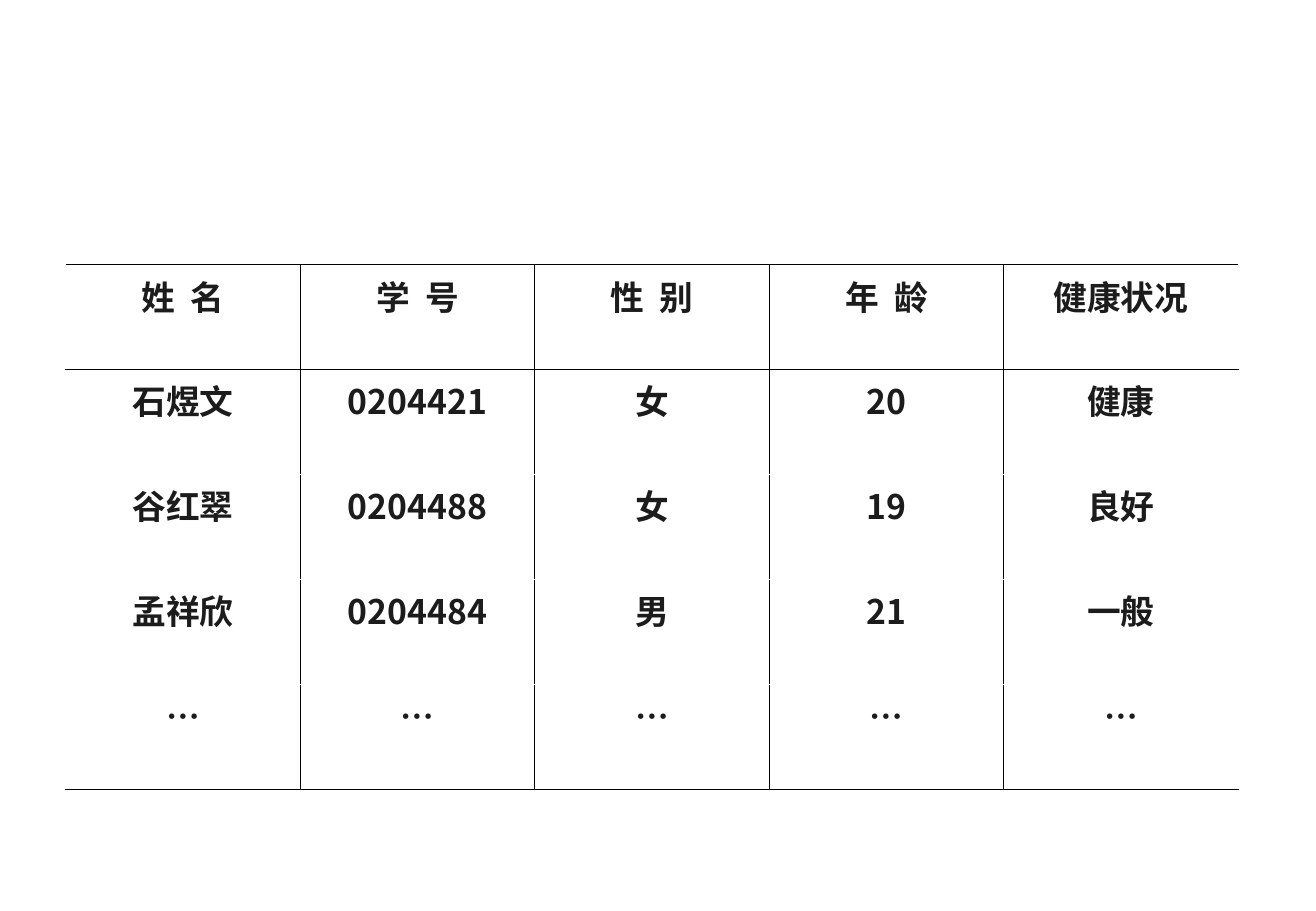
import dataclasses

import pptx
import pptx.dml.color
import pptx.enum.text
import pptx.oxml
import pptx.oxml.ns
import pptx.util


@dataclasses.dataclass(frozen=True)
class Theme:
    font: str = "Noto Sans CJK SC"
    text: str = "1C1C1C"
    rule: str = "000000"
    paper: str = "FFFFFF"
    text_size: float = 20
    thin: float = 0.45
    thick: float = 0.96
    hanging_indent: float = 0.38


THEME = Theme()
SLIDE_SIZE = (pptx.util.Inches(10.84), pptx.util.Inches(7.5))
# Left, top, width and height in percent of the slide
STUDENT_TABLE_BOX = (5, 29.06, 89.1, 57.6)
STUDENTS = [
    ["姓  名", "学  号", "性  别", "年  龄", "健康状况"],
    ["石煜文", "0204421", "女", "20", "健康"],
    ["谷红翠", "0204488", "女", "19", "良好"],
    ["孟祥欣", "0204484", "男", "21", "一般"],
    ["…"] * 5,
]


def percent_box(shares):
    return [round(share / 100 * SLIDE_SIZE[index % 2]) for index, share in enumerate(shares)]


def add_border(cell, side, color, width):
    """Draw one side of a cell; side is L, R, T or B, in that order."""
    namespace = pptx.oxml.ns.nsdecls("a")
    cell._tc.get_or_add_tcPr().append(pptx.oxml.parse_xml(
        f'<a:ln{side} {namespace} w="{pptx.util.Pt(width)}">'
        f'<a:solidFill><a:srgbClr val="{color}"/></a:solidFill></a:ln{side}>'))


def rule_cell(cell, row, column, row_count, column_count):
    """Rule columns inside the table, and rows around the header and at the end."""
    left = THEME.rule if column > 0 else THEME.paper
    right = THEME.rule if column < column_count - 1 else THEME.paper
    last = row == row_count - 1
    top = THEME.rule if row <= 1 else THEME.paper
    bottom = THEME.rule if row == 0 or last else THEME.paper
    add_border(cell, "L", left, THEME.thin)
    add_border(cell, "R", right, THEME.thin)
    add_border(cell, "T", top, THEME.thick if row == 0 else THEME.thin)
    add_border(cell, "B", bottom, THEME.thick if last else THEME.thin)
    cell.fill.background()


def write_cell(cell, text):
    paragraph = cell.text_frame.paragraphs[0]
    paragraph.alignment = pptx.enum.text.PP_ALIGN.CENTER
    indent = pptx.util.Inches(THEME.hanging_indent)
    properties = paragraph._p.get_or_add_pPr()
    properties.set("marL", str(indent))
    properties.set("indent", str(-indent))
    run = paragraph.add_run()
    run.text = text
    run.font.size = pptx.util.Pt(THEME.text_size)
    run.font.bold = True
    run.font.color.rgb = pptx.dml.color.RGBColor.from_string(THEME.text)
    run.font.name = THEME.font
    namespace = pptx.oxml.ns.nsdecls("a")
    run._r.get_or_add_rPr().append(
        pptx.oxml.parse_xml(f'<a:ea {namespace} typeface="{THEME.font}"/>'))


def add_student_table(slide, box, records):
    row_count, column_count = len(records), len(records[0])
    table = slide.shapes.add_table(row_count, column_count, *box).table
    table.first_row = False
    table.horz_banding = False
    for row, record in enumerate(records):
        for column, text in enumerate(record):
            cell = table.cell(row, column)
            write_cell(cell, text)
            rule_cell(cell, row, column, row_count, column_count)


def main():
    presentation = pptx.Presentation()
    presentation.slide_width, presentation.slide_height = SLIDE_SIZE
    slide = presentation.slides.add_slide(presentation.slide_layouts[6])
    add_student_table(slide, percent_box(STUDENT_TABLE_BOX), STUDENTS)
    presentation.save("out.pptx")


if __name__ == "__main__":
    main()
